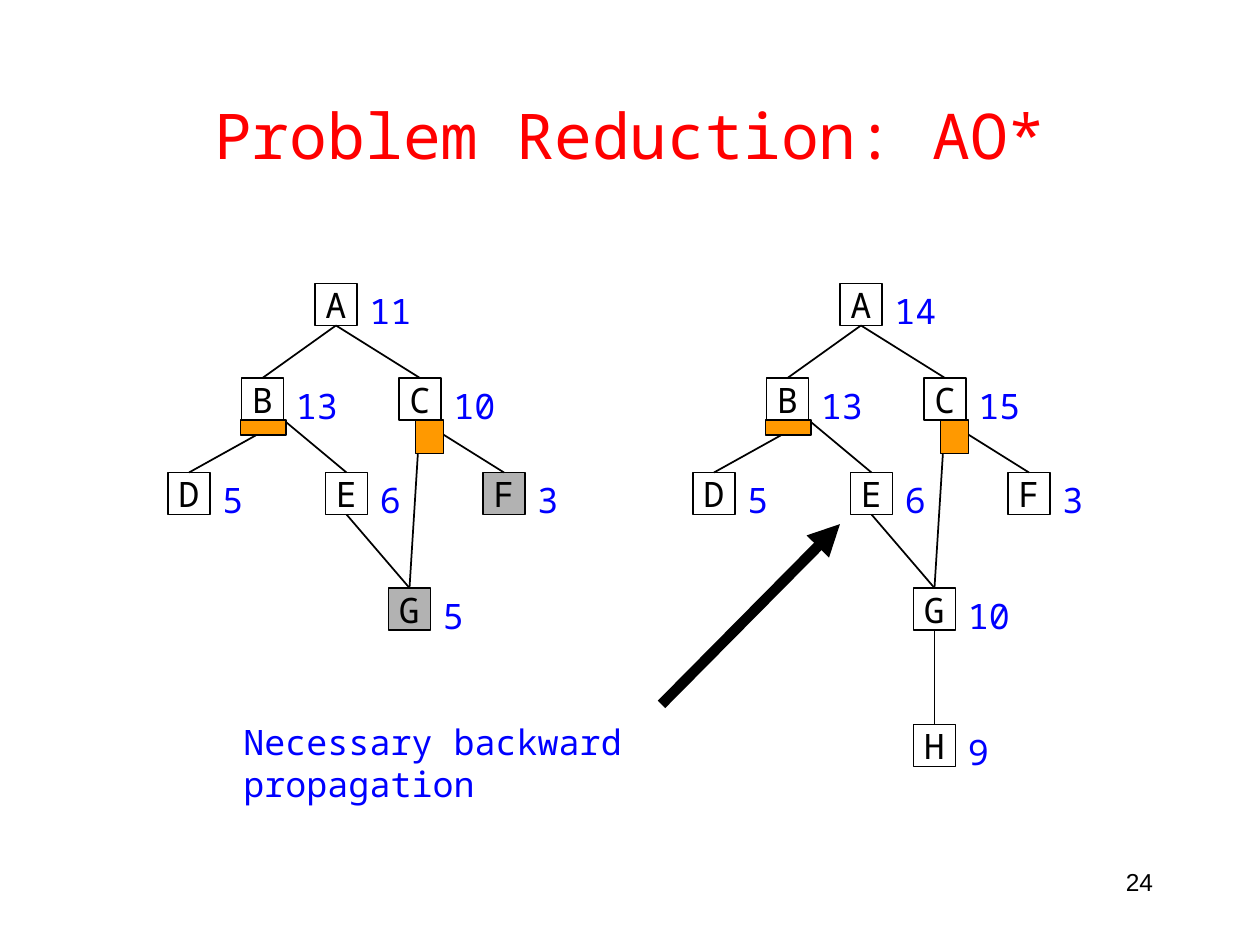
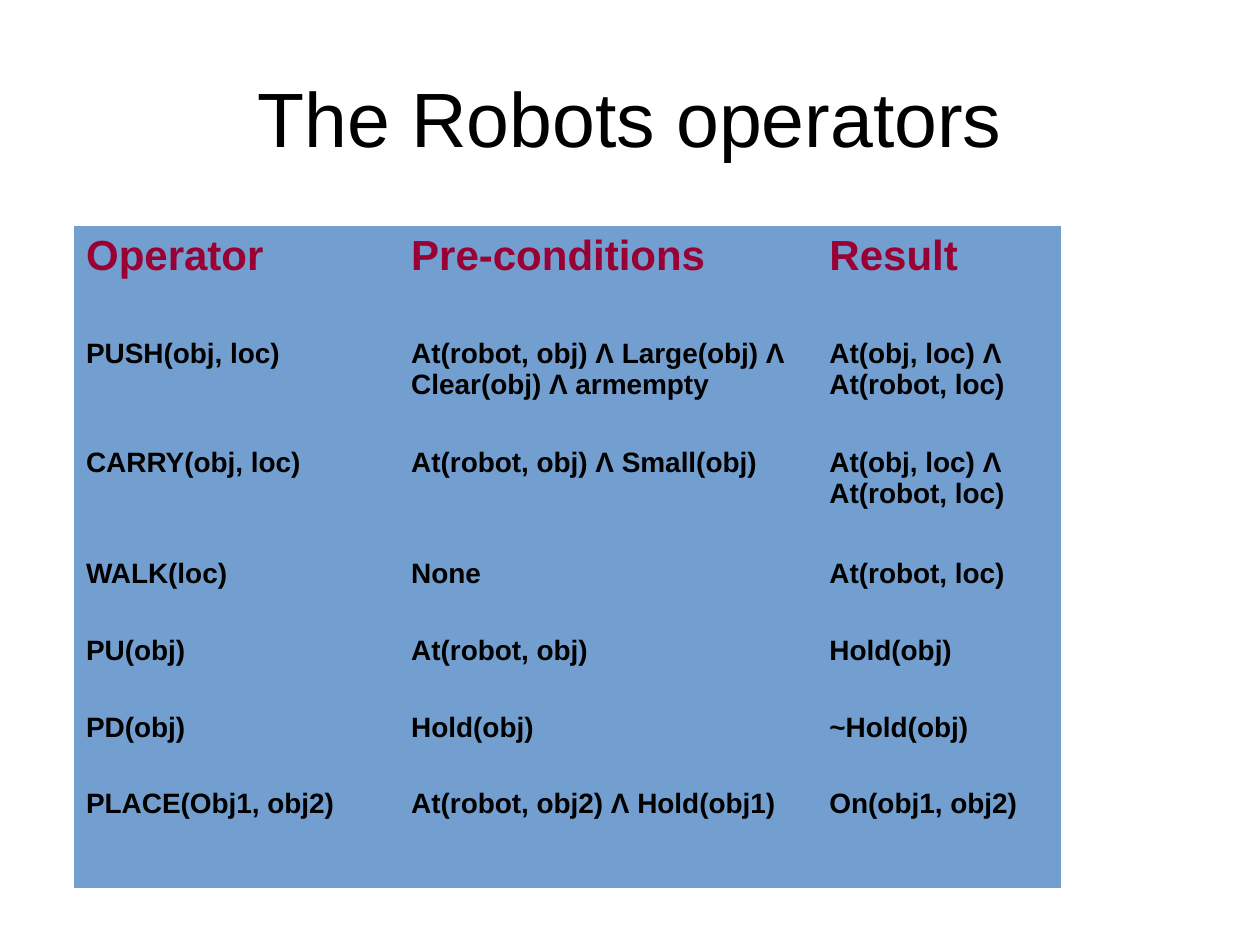
from dataclasses import dataclass

from lxml.etree import SubElement
from pptx import Presentation
from pptx.dml.color import RGBColor as Rgb
from pptx.enum.shapes import MSO_CONNECTOR as Connector, MSO_SHAPE as Shape
from pptx.enum.text import MSO_ANCHOR as Anchor, PP_ALIGN as Align
from pptx.oxml.ns import qn
from pptx.util import Pt

# Content: search graph
GRAPH_TITLE = "Problem Reduction: AO*"
PAGE_NUMBER = "24"
CAPTION = "Necessary backward propagation"
NODE_PLACES = {
    "A": (180, 162), "B": (138, 216), "C": (228, 216), "D": (96, 270),
    "E": (186, 270), "F": (276, 270), "G": (222, 336), "H": (222, 414),
}
EDGES = ["AB", "AC", "BD", "BE", "EG", "CG", "CF", "GH"]
AND_MARKS = [(137.5, 240, 26, 8.6), (237.6, 240, 16, 19.4)]
TREES = [
    {"left": 0, "shaded": "FG",
     "costs": {"A": 11, "B": 13, "C": 10, "D": 5, "E": 6, "F": 3, "G": 5}},
    {"left": 300, "shaded": "",
     "costs": {"A": 14, "B": 13, "C": 15, "D": 5, "E": 6, "F": 3, "G": 10, "H": 9}},
]

# Content: operator table
TABLE_TITLE = "The Robots operators"
OPERATORS = [
    ("Operator", "Pre-conditions", "Result"),
    ("PUSH(obj, loc)", "At(robot, obj) Λ Large(obj) Λ Clear(obj) Λ armempty",
     "At(obj, loc) Λ At(robot, loc)"),
    ("CARRY(obj, loc)", "At(robot, obj) Λ Small(obj)", "At(obj, loc) Λ\nAt(robot, loc)"),
    ("WALK(loc)", "None", "At(robot, loc)"),
    ("PU(obj)", "At(robot, obj)", "Hold(obj)"),
    ("PD(obj)", "Hold(obj)", "~Hold(obj)"),
    ("PLACE(Obj1, obj2)", "At(robot, obj2) Λ Hold(obj1)", "On(obj1, obj2)"),
]
COLUMN_WIDTHS = [185.8, 239, 139.7]
ROW_HEIGHTS = [60.5, 62.6, 63.4, 43.9, 43.9, 43.9, 60.5]
NO_GRID_STYLE = "{2D5ABB26-0587-4C30-8999-92F81FD0307C}"


@dataclass(frozen=True)
class Theme:
    sans: str = "Arial"
    mono: str = "Noto Sans Mono"
    ink: Rgb = Rgb(0, 0, 0)
    red: Rgb = Rgb(0xFF, 0, 0)
    blue: Rgb = Rgb(0, 0, 0xFF)
    shade: Rgb = Rgb(0xB2, 0xB2, 0xB2)
    mark: Rgb = Rgb(0xFF, 0x99, 0)
    cell: Rgb = Rgb(0x72, 0x9F, 0xCF)
    heading: Rgb = Rgb(0x99, 0, 0x33)
    graph_title: int = 36
    table_title: int = 44
    label: int = 20
    page: int = 14
    header: int = 24
    body: int = 16


THEME = Theme()
NODE = 24


def write(frame, text, size, face, color, align=Align.LEFT, bold=False):
    frame.text = text
    for paragraph in frame.paragraphs:
        paragraph.alignment = align
        for run in paragraph.runs:
            font = run.font
            font.size, font.name, font.bold = Pt(size), face, bold
            font.color.rgb = color


def add_text(slide, place, text, size, face, color, align=Align.LEFT, anchor=Anchor.TOP):
    frame = slide.shapes.add_textbox(*map(Pt, place)).text_frame
    frame.word_wrap = True
    frame.vertical_anchor = anchor
    write(frame, text, size, face, color, align)


def add_title(slide, place, text, size, face, color):
    add_text(slide, place, text, size, face, color, Align.CENTER, Anchor.MIDDLE)


def add_box(slide, place, fill=None, weight=1.0):
    box = slide.shapes.add_shape(Shape.RECTANGLE, *map(Pt, place))
    box.shadow.inherit = False
    if fill is None:
        box.fill.background()
    else:
        box.fill.solid()
        box.fill.fore_color.rgb = fill
    box.line.color.rgb = THEME.ink
    box.line.width = Pt(weight)
    return box


def add_line(slide, start, end, weight=1, arrow=False):
    line = slide.shapes.add_connector(Connector.STRAIGHT, *map(Pt, start + end))
    line.line.color.rgb = THEME.ink
    line.line.width = Pt(weight)
    if arrow:
        SubElement(line.line._get_or_add_ln(), qn("a:tailEnd"), type="triangle")
    SubElement(line._element.spPr, qn("a:effectLst"))


def add_tree(slide, left, shaded, costs):
    places = {name: (left + NODE_PLACES[name][0], NODE_PLACES[name][1]) for name in costs}
    # Nodes with their costs at the right
    for name, (x, y) in places.items():
        node = add_box(slide, (x, y, NODE, NODE), THEME.shade if name in shaded else None)
        node.text_frame.word_wrap = False
        node.text_frame.vertical_anchor = Anchor.MIDDLE
        write(node.text_frame, name, THEME.label, THEME.mono, THEME.ink, Align.CENTER)
        cost = str(costs[name])
        add_text(slide, (x + NODE, y, 18 + 12 * len(cost), 31), cost,
                 THEME.label, THEME.mono, THEME.blue)
    # Edges run from bottom to top centre; those of B leave its right corner
    for parent, child in EDGES:
        if child in places:
            (x1, y1), (x2, y2) = places[parent], places[child]
            exit_x = NODE if parent == "B" else NODE / 2
            add_line(slide, (x1 + exit_x, y1 + NODE), (x2 + NODE / 2, y2))
    # AND marks cover the edges
    for x, y, width, height in AND_MARKS:
        add_box(slide, (left + x, y, width, height), THEME.mark, 0.75)


def build_graph_slide(slide):
    add_title(slide, (54, 32, 612, 90), GRAPH_TITLE, THEME.graph_title, THEME.mono, THEME.red)
    for tree in TREES:
        add_tree(slide, **tree)
    add_text(slide, (132, 408, 342, 55), CAPTION, THEME.label, THEME.mono, THEME.blue)
    add_line(slide, (378, 402.5), (480, 299.5), 6, arrow=True)
    add_text(slide, (516, 492, 150, 36), PAGE_NUMBER, THEME.page, THEME.sans, THEME.ink,
             Align.RIGHT)


def build_table_slide(slide):
    add_title(slide, (36, 21.6, 648, 90), TABLE_TITLE, THEME.table_title, THEME.sans, THEME.ink)
    table = slide.shapes.add_table(
        len(OPERATORS), len(COLUMN_WIDTHS), Pt(42), Pt(129),
        Pt(sum(COLUMN_WIDTHS)), Pt(sum(ROW_HEIGHTS))).table
    table.first_row = table.horz_banding = False
    table._tbl.tblPr.find(qn("a:tableStyleId")).text = NO_GRID_STYLE
    for column, width in zip(table.columns, COLUMN_WIDTHS):
        column.width = Pt(width)
    for r, (row, height) in enumerate(zip(OPERATORS, ROW_HEIGHTS)):
        table.rows[r].height = Pt(height)
        size, color = (THEME.body, THEME.ink) if r else (THEME.header, THEME.heading)
        for c, text in enumerate(row):
            cell = table.cell(r, c)
            cell.fill.solid()
            cell.fill.fore_color.rgb = THEME.cell
            write(cell.text_frame, text, size, THEME.sans, color, bold=True)


def main():
    deck = Presentation()
    deck.slide_width, deck.slide_height = Pt(720), Pt(540)
    blank = deck.slide_layouts[6]
    for build in (build_graph_slide, build_table_slide):
        build(deck.slides.add_slide(blank))
    deck.save("out.pptx")


if __name__ == "__main__":
    main()
